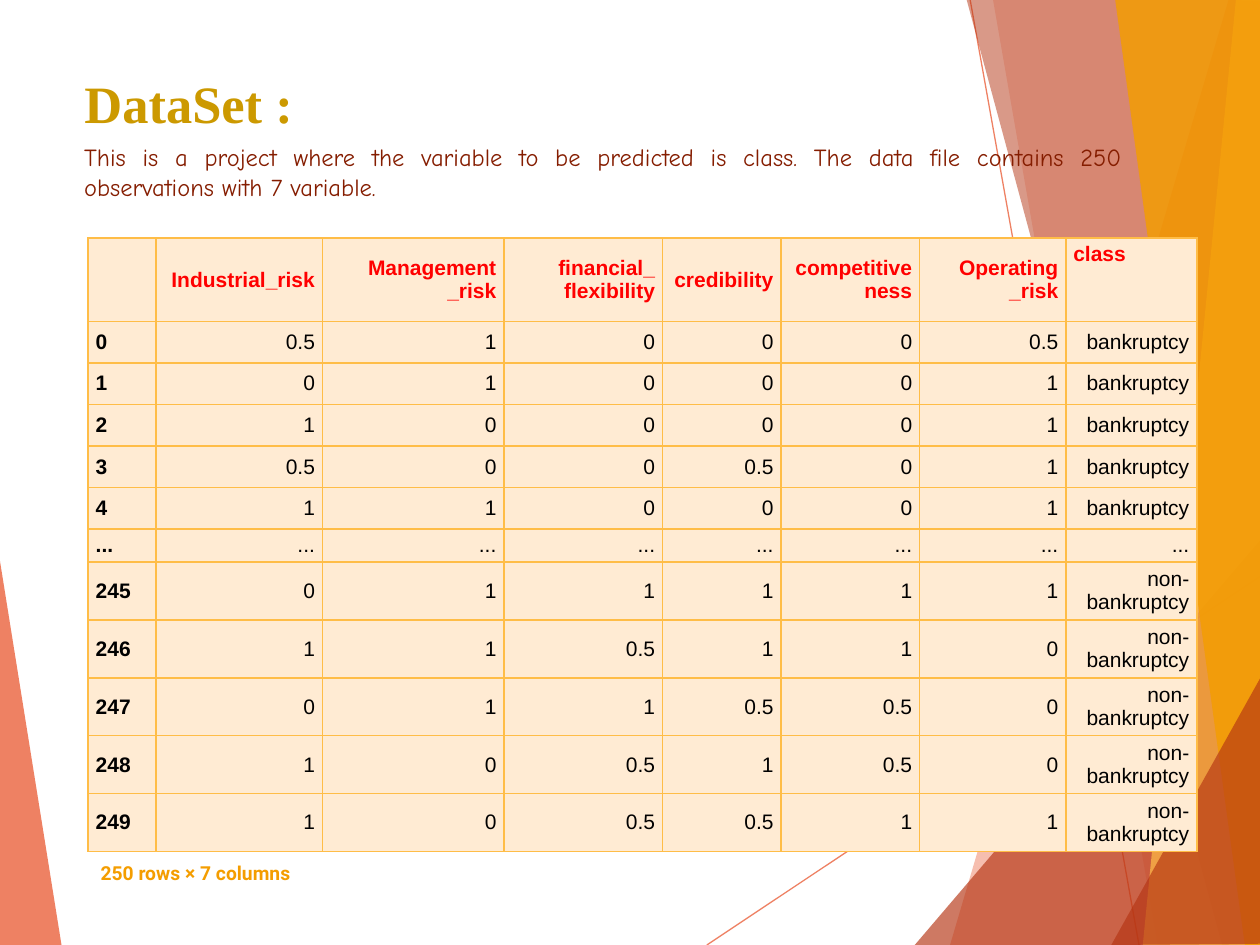
"""Build the DataSet slide: a faceted backdrop, a title, an introduction and a table of observations."""
import pptx
import pptx.dml.color
import pptx.enum.shapes
import pptx.enum.text
import pptx.oxml
import pptx.oxml.ns
import pptx.util

Inches = pptx.util.Inches
Pt = pptx.util.Pt
RGBColor = pptx.dml.color.RGBColor
Align = pptx.enum.text.PP_ALIGN
Anchor = pptx.enum.text.MSO_ANCHOR
qn = pptx.oxml.ns.qn

CORAL = RGBColor(0xE8, 0x4C, 0x22)
BRICK = RGBColor(0xB5, 0x35, 0x13)
AMBER = RGBColor(0xFF, 0xBD, 0x47)
ORANGE = RGBColor(0xF4, 0x9D, 0x00)
GOLD = RGBColor(0xCC, 0x99, 0x00)
MAROON = RGBColor(0x85, 0x1D, 0x00)
CREAM = RGBColor(0xFF, 0xEB, 0xD3)
RED = RGBColor(0xFF, 0x00, 0x00)
BLACK = RGBColor(0x00, 0x00, 0x00)
WHITE = RGBColor(0xFF, 0xFF, 0xFF)

RAYS = [((5.61, 7.5), (10.01, 4.57)), ((7.7, 0), (9.04, 7.5))]
FACETS = [
    ([(-0.01, 4.39), (0.49, 7.51), (-0.01, 7.5)], CORAL, 70),
    ([(9.75, 0), (7.54, 7.5), (10.02, 7.51), (10.01, 0.01)], CORAL, 36),
    ([(7.88, -0.01), (9.19, 7.5), (10.01, 7.5), (10.01, -0.01)], CORAL, 20),
    ([(7.26, 7.5), (10, 4.29), (10.01, 7.5)], BRICK, 66),
    ([(7.67, -0.01), (9.7, 7.5), (10.01, 7.49), (10.01, -0.01)], BRICK, 50),
    ([(9.81, -0.01), (9.07, 7.5), (10.01, 7.5), (10, -0.01)], AMBER, 70),
    ([(8.85, -0.01), (9.88, 7.5), (10.02, 7.5), (10, -0.01)], ORANGE, 82),
    ([(8.82, 7.5), (10.02, 5.35), (10.02, 7.49)], BRICK, 66),
]

HEADERS = ["", "Industrial_risk", "Management\n_risk", "financial_\nflexibility",
           "credibility", "competitiveness", "Operating\n_risk", "class"]
OBSERVATIONS = [
    "0 0.5 1 0 0 0 0.5 bankruptcy",
    "1 0 1 0 0 0 1 bankruptcy",
    "2 1 0 0 0 0 1 bankruptcy",
    "3 0.5 0 0 0.5 0 1 bankruptcy",
    "4 1 1 0 0 0 1 bankruptcy",
    "... ... ... ... ... ... ... ...",
    "245 0 1 1 1 1 1 non-bankruptcy",
    "246 1 1 0.5 1 1 0 non-bankruptcy",
    "247 0 1 1 0.5 0.5 0 non-bankruptcy",
    "248 1 0 0.5 1 0.5 0 non-bankruptcy",
    "249 1 0 0.5 0.5 1 1 non-bankruptcy",
]
COLUMN_WIDTHS = [0.54, 1.32, 1.44, 1.26, 0.94, 1.1, 1.16, 1.04]
ROW_HEIGHTS = [0.66] + [0.33] * 5 + [0.26] + [0.46] * 5


def set_opacity(shape, percent):
    """Make the fill and line colours of a shape partly transparent."""
    for color in shape.element.spPr.iter(qn("a:srgbClr")):
        color.append(pptx.oxml.parse_xml(
            f'<a:alpha {pptx.oxml.ns.nsdecls("a")} val="{percent * 1000}"/>'))


def add_ray(slide, start, end):
    """Draw a thin backdrop line."""
    ray = slide.shapes.add_connector(
        pptx.enum.shapes.MSO_CONNECTOR.STRAIGHT, *map(Inches, start + end))
    ray.line.color.rgb = CORAL
    ray.line.width = Pt(0.75)
    set_opacity(ray, 70)
    ray.element.spPr.append(pptx.oxml.parse_xml(
        f'<a:effectLst {pptx.oxml.ns.nsdecls("a")}/>'))


def add_facet(slide, corners, color, opacity):
    """Draw a translucent backdrop polygon."""
    points = [(Inches(x), Inches(y)) for x, y in corners]
    builder = slide.shapes.build_freeform(*points[0])
    builder.add_line_segments(points[1:], close=True)
    facet = builder.convert_to_shape()
    facet.shadow.inherit = False
    facet.fill.solid()
    facet.fill.fore_color.rgb = color
    facet.line.fill.background()
    set_opacity(facet, opacity)


def place(shape, left, top, width, height):
    """Move and size a shape in inches."""
    shape.left, shape.top = Inches(left), Inches(top)
    shape.width, shape.height = Inches(width), Inches(height)


def write(frame, text, font_name, size, color, bold=False, align=Align.LEFT, anchor=Anchor.TOP):
    """Fill a text frame and format its paragraphs and runs."""
    frame.text = text
    frame.word_wrap = True
    frame.vertical_anchor = anchor
    for paragraph in frame.paragraphs:
        paragraph.alignment = align
        for run in paragraph.runs:
            run.font.name = font_name
            run.font.size = Pt(size)
            run.font.bold = bold
            run.font.color.rgb = color


def set_borders(cell):
    """Give a cell amber lines on its four sides."""
    properties = cell._tc.get_or_add_tcPr()
    for index, side in enumerate("LRTB"):
        properties.insert(index, pptx.oxml.parse_xml(
            f'<a:ln{side} {pptx.oxml.ns.nsdecls("a")} w="{Pt(1)}"><a:solidFill>'
            f'<a:srgbClr val="{AMBER}"/></a:solidFill></a:ln{side}>'))


def fill_cell(cell, text, row, column):
    """Write and format one cell according to its place in the table."""
    is_header = row == 0
    is_index = column == 0
    is_class_header = is_header and column == len(HEADERS) - 1
    cell.margin_left = cell.margin_right = Inches(0.06)
    cell.margin_top = cell.margin_bottom = Inches(0.03)
    cell.fill.solid()
    cell.fill.fore_color.rgb = CREAM
    write(cell.text_frame, text, "Arial", 12, RED if is_header else BLACK,
          bold=is_header or is_index,
          align=Align.LEFT if is_index or is_class_header else Align.RIGHT)
    cell.vertical_anchor = Anchor.TOP if is_class_header else Anchor.MIDDLE
    set_borders(cell)


def add_observations(slide):
    """Add the table of observations."""
    records = [HEADERS] + [line.split() for line in OBSERVATIONS]
    table = slide.shapes.add_table(
        len(records), len(HEADERS), Inches(0.7), Inches(1.89),
        Inches(sum(COLUMN_WIDTHS)), Inches(sum(ROW_HEIGHTS))).table
    table.first_row = table.horz_banding = False
    for column, width in zip(table.columns, COLUMN_WIDTHS):
        column.width = Inches(width)
    for row, height in zip(table.rows, ROW_HEIGHTS):
        row.height = Inches(height)
    for row, record in enumerate(records):
        for column, text in enumerate(record):
            fill_cell(table.cell(row, column), text, row, column)


def add_caption(slide):
    """Add the white label that states the size of the data."""
    caption = slide.shapes.add_shape(
        pptx.enum.shapes.MSO_SHAPE.RECTANGLE,
        Inches(0.7), Inches(6.78), Inches(1.9), Inches(0.29))
    caption.shadow.inherit = False
    caption.fill.solid()
    caption.fill.fore_color.rgb = WHITE
    caption.line.fill.background()
    write(caption.text_frame, "250 rows × 7 columns", "Roboto", 11, ORANGE,
          bold=True, anchor=Anchor.MIDDLE)


def main():
    """Assemble and save the slide."""
    presentation = pptx.Presentation()
    presentation.slide_width, presentation.slide_height = Inches(10), Inches(7.5)
    slide = presentation.slides.add_slide(presentation.slide_layouts[5])
    for start, end in RAYS:
        add_ray(slide, start, end)
    for corners, color, opacity in FACETS:
        add_facet(slide, corners, color, opacity)

    title = slide.shapes.title
    place(title, 0.57, 0.51, 2.34, 0.61)
    write(title.text_frame, "DataSet :", "Times New Roman", 30, GOLD, bold=True)

    add_observations(slide)
    add_caption(slide)
    introduction = slide.shapes.add_textbox(
        Inches(0.57), Inches(1.08), Inches(8.44), Inches(0.57))
    write(introduction.text_frame,
          "This is a project where the variable to be predicted is class. "
          "The data file contains 250 observations with 7 variable.",
          "Comic Neue", 14, MAROON, align=Align.JUSTIFY)
    presentation.save("out.pptx")


if __name__ == "__main__":
    main()
